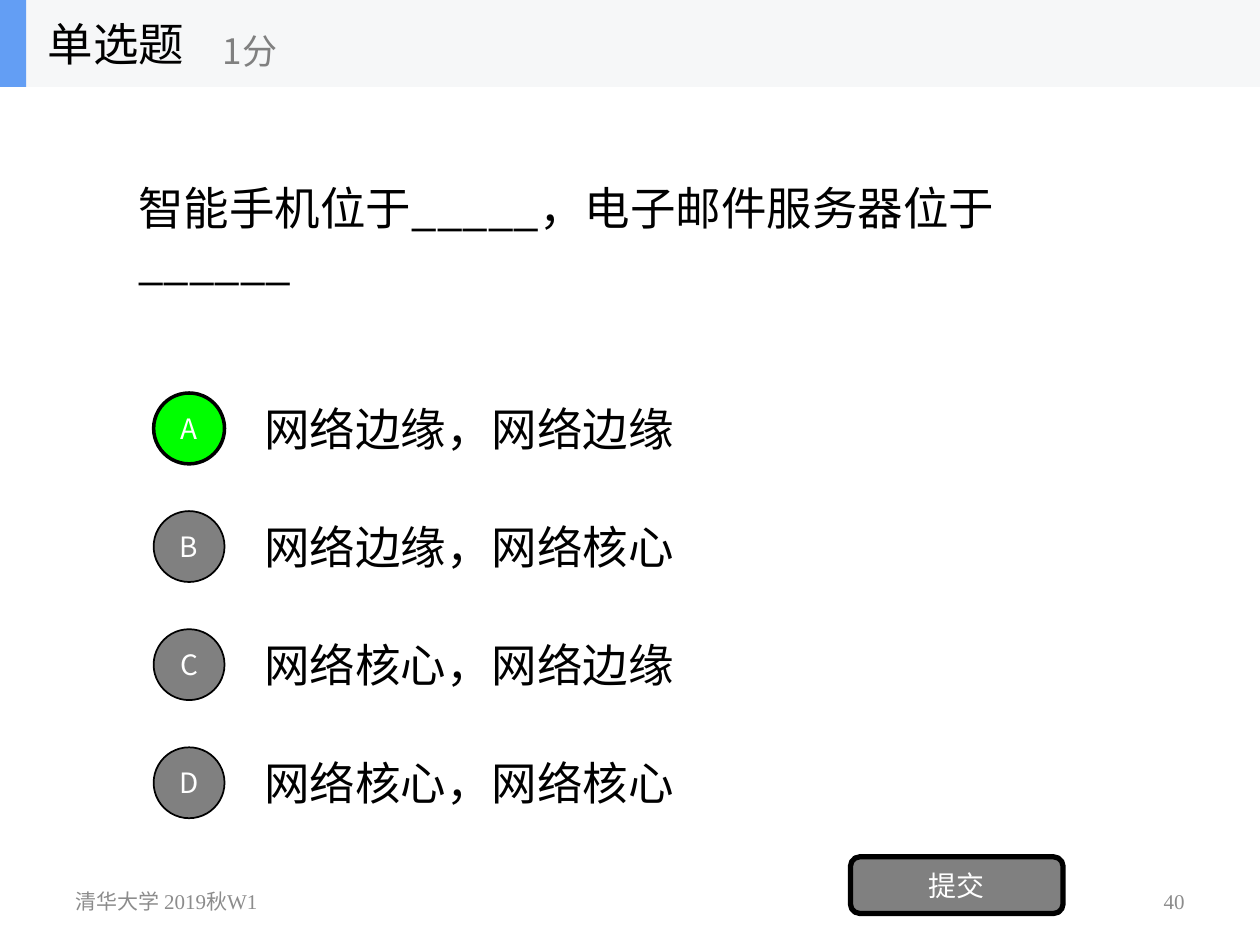
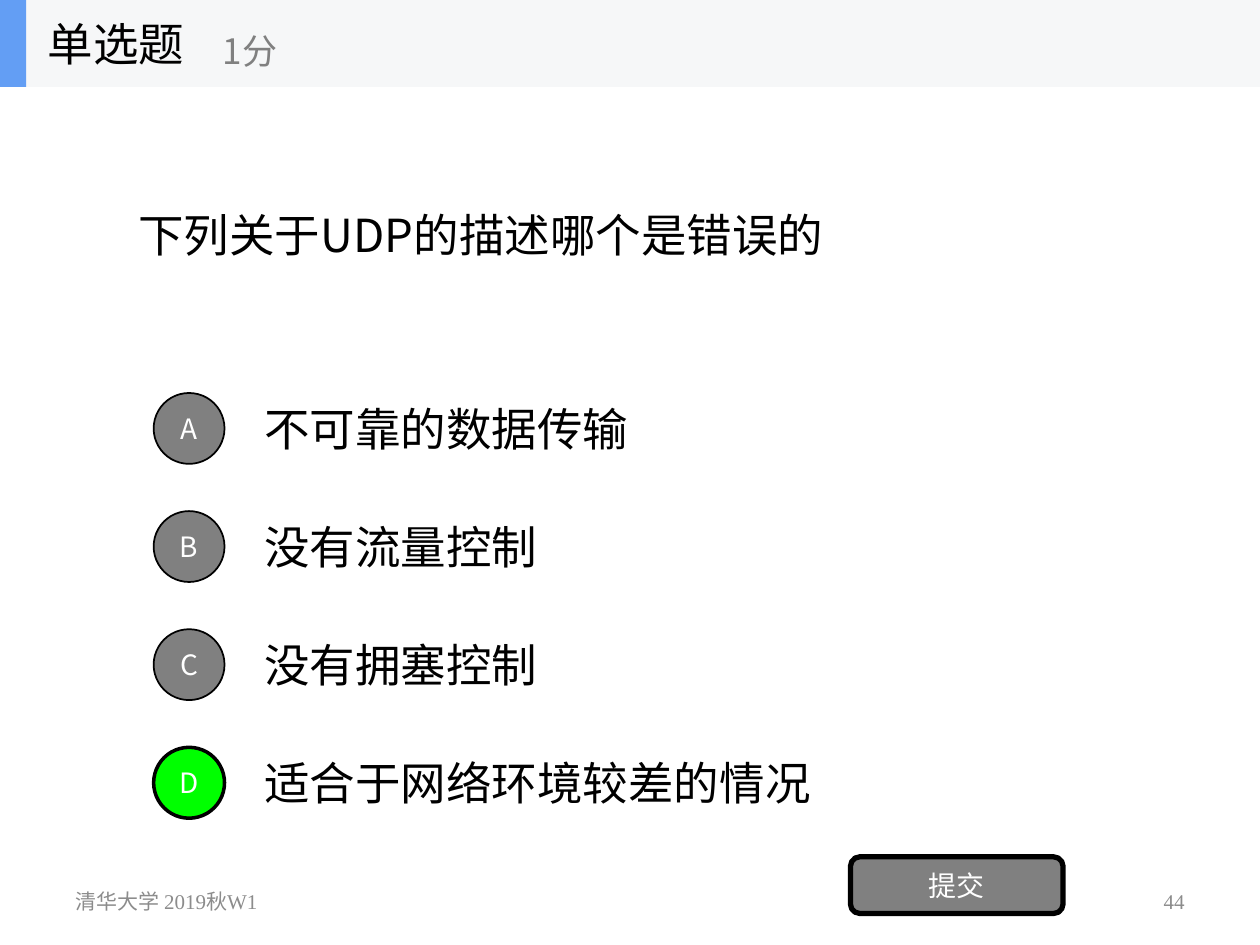
from dataclasses import dataclass

from pptx import Presentation
from pptx.dml.color import RGBColor
from pptx.enum.shapes import MSO_SHAPE
from pptx.enum.text import MSO_ANCHOR, PP_ALIGN
from pptx.oxml.ns import qn
from pptx.util import Pt

RECT = MSO_SHAPE.RECTANGLE
ROUND = MSO_SHAPE.ROUNDED_RECTANGLE
OVAL = MSO_SHAPE.OVAL
LEFT, CENTER, RIGHT = PP_ALIGN.LEFT, PP_ALIGN.CENTER, PP_ALIGN.RIGHT
MIDDLE = MSO_ANCHOR.MIDDLE


@dataclass(frozen=True)
class Theme:
    sans: str = "Noto Sans CJK SC"
    serif: str = "Times New Roman"
    ink: str = "000000"
    white: str = "FFFFFF"
    gray: str = "808080"
    faint: str = "8C8C8C"
    band: str = "F6F7F8"
    accent: str = "639EF4"
    right: str = "00FF00"
    body: int = 26
    score: int = 20
    label: int = 16
    foot: int = 12


THEME = Theme()
WIDTH, HEIGHT = 720, 540
BAND = (0, 0, WIDTH, 49.7)
ASK = (72, 49.7, 576, 168.5)
CHOICES = (87.8, 219.6, 560.2, 50.4)
PITCH = 67.5
DOT = 40.5
BUTTON = (486, 489.6, 121.5, 32.4)
FOOT = (36, 500.4, 648, 28.8)

QUIZ = [
    ("40", "智能手机位于_____，电子邮件服务器位于______", "A",
     ["网络边缘，网络边缘", "网络边缘，网络核心",
      "网络核心，网络边缘", "网络核心，网络核心"]),
    ("44", "下列关于UDP的描述哪个是错误的", "D",
     ["不可靠的数据传输", "没有流量控制",
      "没有拥塞控制", "适合于网络环境较差的情况"]),
]


def write(shape, text, size, color, align=LEFT, font=THEME.sans):
    frame = shape.text_frame
    frame.word_wrap = True
    frame.vertical_anchor = MIDDLE
    para = frame.paragraphs[0]
    para.alignment = align
    run = para.add_run()
    run.text = text
    run.font.size = Pt(size)
    run.font.name = font
    run.font.color.rgb = RGBColor.from_string(color)
    east = run.font._element.makeelement(qn("a:ea"), {"typeface": THEME.sans})
    run.font._element.append(east)


def label(shapes, box, *style):
    write(shapes.add_textbox(*map(Pt, box)), *style)


def block(shapes, kind, box, fill, line=0):
    """Add a filled shape; a line width of 0 means no outline."""
    shape = shapes.add_shape(kind, *map(Pt, box))
    shape.shadow.inherit = False
    shape.fill.solid()
    shape.fill.fore_color.rgb = RGBColor.from_string(fill)
    if line:
        shape.line.width = Pt(line)
        shape.line.color.rgb = RGBColor.from_string(THEME.ink)
    else:
        shape.line.fill.background()
    return shape


def header(shapes, box):
    x, y, w, h = box
    group = shapes.add_group_shape().shapes
    block(group, RECT, box, THEME.band)
    block(group, RECT, (x, y, 15, h), THEME.accent)
    label(group, (x + 20.2, y, 150, h), "单选题", THEME.body, THEME.ink)
    label(group, (x + 120.2, y + 8.8, 180, 40.3), "1分",
          THEME.score, THEME.gray)


def footer(shapes, box, page):
    x, y, w, h = box
    part = 168
    style = THEME.foot, THEME.faint
    label(shapes, (x, y, part, h), "清华大学 2019秋W1",
          *style, LEFT, THEME.serif)
    label(shapes, (x + w - part, y, part, h), page,
          *style, RIGHT, THEME.serif)


def choice(shapes, box, letter, text, correct):
    x, y, w, h = box
    inset = 56.2
    label(shapes, (x + inset, y, w - inset, h), text, THEME.body, THEME.ink)
    fill, line = (THEME.right, 2) if correct else (THEME.gray, 1)
    dot = block(shapes, OVAL, (x, y + (h - DOT) / 2, DOT, DOT), fill, line)
    write(dot, letter, THEME.label, THEME.white, CENTER)


def button(shapes, box):
    shape = block(shapes, ROUND, box, THEME.gray, 3)
    write(shape, "提交", THEME.label, THEME.white, CENTER)


def quiz(deck, page, ask, answer, options):
    shapes = deck.slides.add_slide(deck.slide_layouts[6]).shapes
    footer(shapes, FOOT, page)
    label(shapes, ASK, ask, THEME.body, THEME.ink)
    x, y, w, h = CHOICES
    for row, (letter, text) in enumerate(zip("ABCD", options)):
        choice(shapes, (x, y + row * PITCH, w, h),
               letter, text, letter == answer)
    button(shapes, BUTTON)
    header(shapes, BAND)


def main():
    deck = Presentation()
    deck.slide_width, deck.slide_height = Pt(WIDTH), Pt(HEIGHT)
    for item in QUIZ:
        quiz(deck, *item)
    deck.save("out.pptx")


if __name__ == "__main__":
    main()
